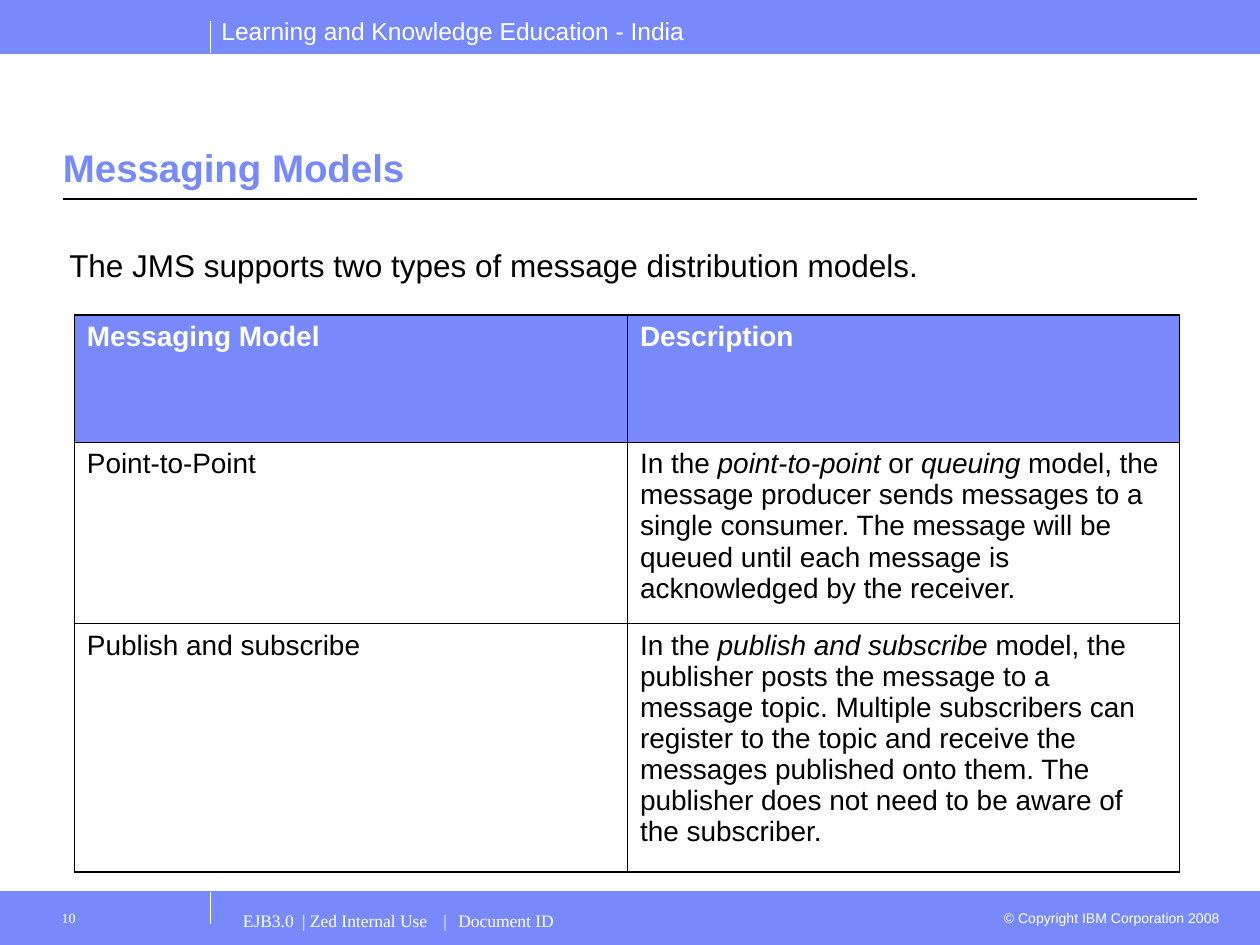
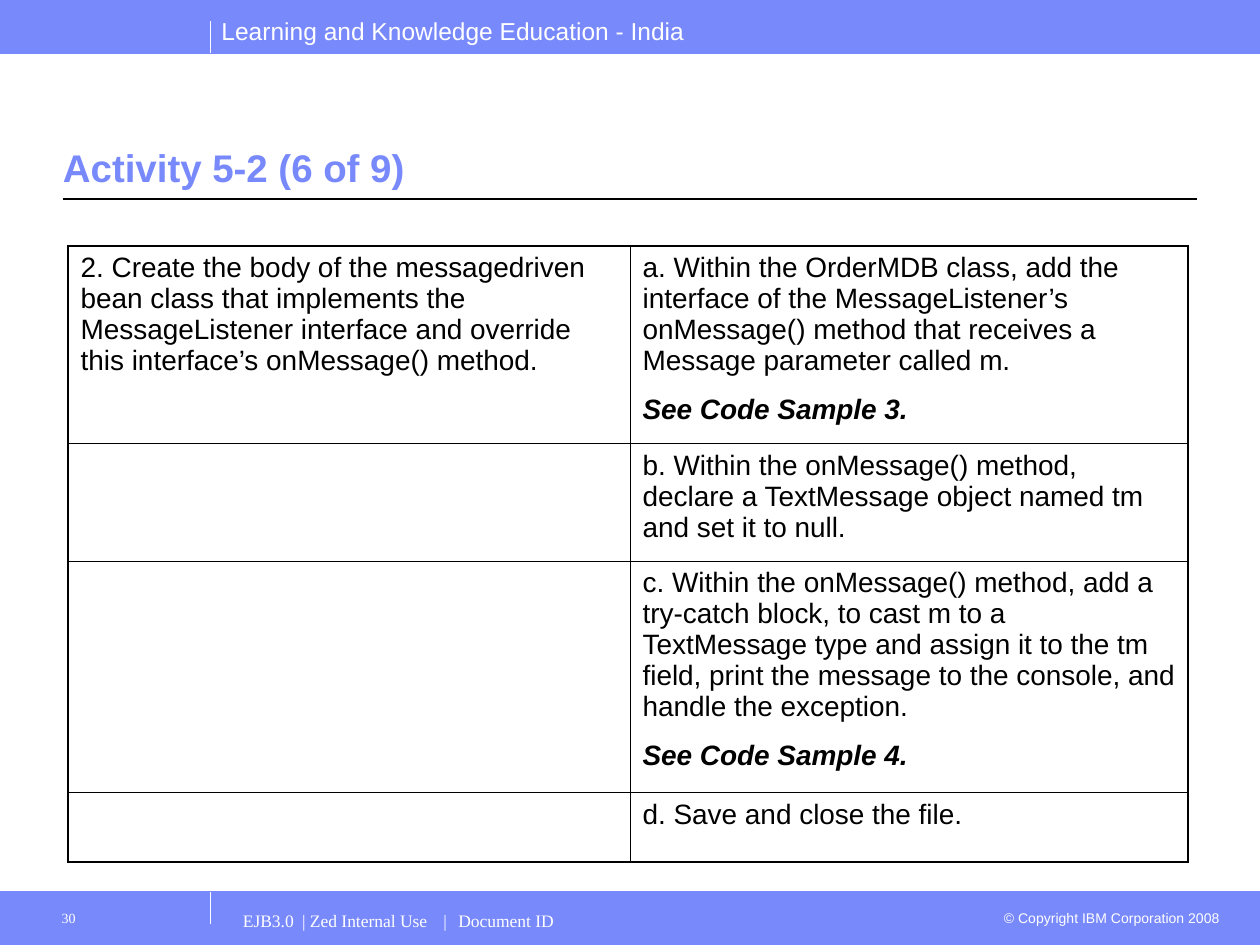
from lxml.etree import SubElement
from pptx import Presentation
from pptx.dml.color import RGBColor
from pptx.enum.shapes import MSO_CONNECTOR, MSO_SHAPE
from pptx.enum.text import MSO_ANCHOR, PP_ALIGN
from pptx.oxml.ns import qn
from pptx.util import Inches, Pt

BLUE = RGBColor(0x78, 0x89, 0xFB)
WHITE = RGBColor(0xFF, 0xFF, 0xFF)
BLACK = RGBColor(0x00, 0x00, 0x00)
SANS = "Arial"
SERIF = "Times New Roman"

WIDTH, HEIGHT = 10, 7.5
BAND = 0.42
FOOTER_TOP = HEIGHT - BAND
MARKER_X = 1.67
OUTER, INNER = 1.08, 0.45  # table border widths in points
FOOTER_STOPS = (0.47, 1.59, 1.71)

ITALIC = {"italic": True}
BOLD_ITALIC = {"bold": True, "italic": True}


def write(tf, paragraphs, size=16, color=BLACK, font=SANS, bold=False,
          align=PP_ALIGN.LEFT, after=0, stops=()):
    """Fill a text frame; a paragraph is a string or a list of (text, style) runs."""
    if isinstance(paragraphs, str):
        paragraphs = [paragraphs]
    for i, runs in enumerate(paragraphs):
        p = tf.paragraphs[0] if i == 0 else tf.add_paragraph()
        p.alignment = align
        p.space_after = Pt(after)
        if stops:
            tabs = SubElement(p._p.get_or_add_pPr(), qn("a:tabLst"))
            for stop in stops:
                SubElement(tabs, qn("a:tab"), pos=str(Inches(stop)), algn="l")
        for text, style in [(runs, {})] if isinstance(runs, str) else runs:
            r = p.add_run()
            r.text = text
            r.font.name = font
            r.font.size = Pt(size)
            r.font.color.rgb = color
            r.font.bold = style.get("bold", bold)
            r.font.italic = style.get("italic", False)


def add_text(s, text, x, y, w, h, inset=(0.1, 0.05, 0.1, 0.05),
             anchor=MSO_ANCHOR.TOP, **fmt):
    tf = s.shapes.add_textbox(Inches(x), Inches(y), Inches(w), Inches(h)).text_frame
    tf.margin_left, tf.margin_top, tf.margin_right, tf.margin_bottom = map(Inches, inset)
    tf.vertical_anchor = anchor
    tf.word_wrap = True
    write(tf, text, **fmt)


def add_band(s, y):
    sp = s.shapes.add_shape(MSO_SHAPE.RECTANGLE, 0, Inches(y), Inches(WIDTH), Inches(BAND))
    sp.shadow.inherit = False
    sp.fill.solid()
    sp.fill.fore_color.rgb = BLUE
    sp.line.color.rgb = BLUE
    sp.line.width = Pt(0.75)


def add_line(s, x1, y1, x2, y2, color, width=0.75):
    line = s.shapes.add_connector(MSO_CONNECTOR.STRAIGHT, Inches(x1), Inches(y1),
                                  Inches(x2), Inches(y2))
    line.line.color.rgb = color
    line.line.width = Pt(width)
    SubElement(line._element.spPr, qn("a:effectLst"))


def set_borders(cell, **widths):
    """Draw black borders; the sides come in the order L, R, T, B."""
    tcPr = cell._tc.get_or_add_tcPr()
    for side, width in widths.items():
        ln = SubElement(tcPr, qn(f"a:ln{side}"), w=str(Pt(width)))
        fill = SubElement(ln, qn("a:solidFill"))
        SubElement(fill, qn("a:srgbClr"), val=str(BLACK))


def add_table(s, rows, x, y, col_widths, row_heights, header=False):
    last_row, last_col = len(row_heights) - 1, len(col_widths) - 1
    table = s.shapes.add_table(len(row_heights), len(col_widths), Inches(x), Inches(y),
                               Inches(sum(col_widths)), Inches(sum(row_heights))).table
    table.first_row = table.horz_banding = False
    for column, width in zip(table.columns, col_widths):
        column.width = Inches(width)
    for i, (row, height) in enumerate(zip(rows, row_heights)):
        table.rows[i].height = Inches(height)
        for j, content in enumerate(row):
            cell = table.cell(i, j)
            set_borders(cell,
                        L=OUTER if j == 0 else INNER,
                        R=OUTER if j == last_col else INNER,
                        T=OUTER if i == 0 else INNER,
                        B=OUTER if i == last_row else INNER)
            is_header = header and i == 0
            if is_header:
                cell.fill.solid()
                cell.fill.fore_color.rgb = BLUE
            else:
                cell.fill.background()
            if content:
                write(cell.text_frame, content, color=WHITE if is_header else BLACK,
                      bold=is_header, after=10)


def add_slide(prs, title, number):
    """Add a slide with the shared bands, rules, title and footer."""
    s = prs.slides.add_slide(prs.slide_layouts[6])
    for y in (FOOTER_TOP, 0):
        add_band(s, y)
    add_text(s, "Learning and Knowledge Education - India", 1.66, 0.08, 4.2, 0.34,
             size=14, color=WHITE)
    add_text(s, "© Copyright IBM Corporation 2008", 7.83, 7.17, 1.95, 0.24,
             size=8, color=WHITE, align=PP_ALIGN.RIGHT)
    for y in (BAND, FOOTER_TOP):
        add_line(s, 0, y, WIDTH, y, BLUE, 0.5)
    for y in (BAND, FOOTER_TOP + 0.25):
        add_line(s, MARKER_X, y, MARKER_X, y - 0.25, WHITE)
    add_line(s, 0.5, 1.58, 9.5, 1.58, BLACK)
    add_text(s, title, 0.5, 0.64, 9, 0.92, inset=(0, 0.05, 0, 0.05),
             anchor=MSO_ANCHOR.BOTTOM, size=22, color=BLUE, bold=True)
    add_text(s, "EJB3.0\t| Zed Internal Use\t|\tDocument ID", 1.83, 7.15, 6, 0.35,
             inset=(0.1, 0.07, 0.1, 0.05), size=10, color=WHITE, font=SERIF,
             stops=FOOTER_STOPS)
    add_text(s, str(number), 0.33, 7.15, 1.33, 0.35, inset=(0.16, 0.07, 0.1, 0.05),
             size=8, color=WHITE, font=SERIF)
    return s


def add_messaging_models(prs):
    s = add_slide(prs, "Messaging Models", 10)
    add_text(s, "The JMS supports two types of message distribution models.",
             0.5, 1.9, 9, 0.5, inset=(0.05,) * 4, size=18)
    point_to_point = [
        ("In the ", {}), ("point-to-point ", ITALIC), ("or ", {}), ("queuing ", ITALIC),
        ("model, the message producer sends messages to a single consumer. The message "
         "will be queued until each message is acknowledged by the receiver.", {})]
    publish_subscribe = [
        ("In the ", {}), ("publish and subscribe ", ITALIC),
        ("model, the publisher posts the message to a message topic. Multiple subscribers "
         "can register to the topic and receive the messages published onto them. The "
         "publisher does not need to be aware of the subscriber.", {})]
    rows = [("Messaging Model", "Description"),
            ("Point-to-Point", [point_to_point]),
            ("Publish and subscribe", [publish_subscribe])]
    add_table(s, rows, 0.59, 2.5, (4.39, 4.38), (1.01, 1.44, 1.97), header=True)


def add_activity(prs):
    s = add_slide(prs, "Activity 5-2 (6 of 9)", 30)
    task = ("2. Create the body of the messagedriven bean class that implements the "
            "MessageListener interface and override this interface’s onMessage() method.")
    listener_step = ("a. Within the OrderMDB class, add the interface of the "
                     "MessageListener’s onMessage() method that receives a Message "
                     "parameter called m.")
    declare_step = ("b. Within the onMessage() method, declare a TextMessage object named "
                    "tm and set it to null.")
    cast_step = ("c. Within the onMessage() method, add a try-catch block, to cast m to a "
                 "TextMessage type and assign it to the tm field, print the message to "
                 "the console, and handle the exception.")
    rows = [(task, [listener_step, [("See Code Sample 3.", BOLD_ITALIC)]]),
            (None, declare_step),
            (None, [cast_step, [("See Code Sample 4.", BOLD_ITALIC)]]),
            (None, "d. Save and close the file.")]
    add_table(s, rows, 0.54, 1.95, (4.46, 4.43), (1.57, 0.93, 1.84, 0.55))


def main():
    prs = Presentation()
    prs.slide_width, prs.slide_height = Inches(WIDTH), Inches(HEIGHT)
    add_messaging_models(prs)
    add_activity(prs)
    prs.save("out.pptx")


if __name__ == "__main__":
    main()
